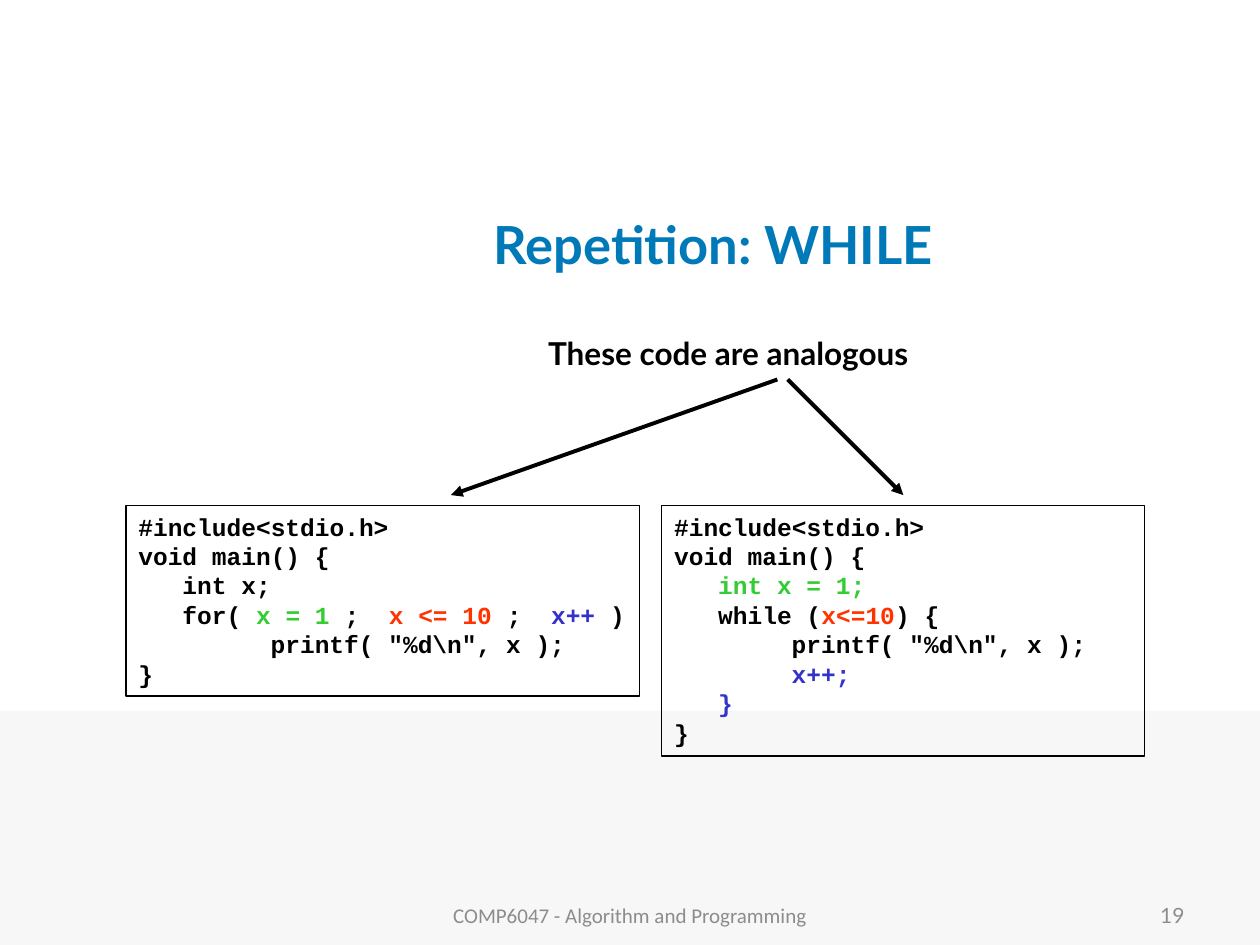
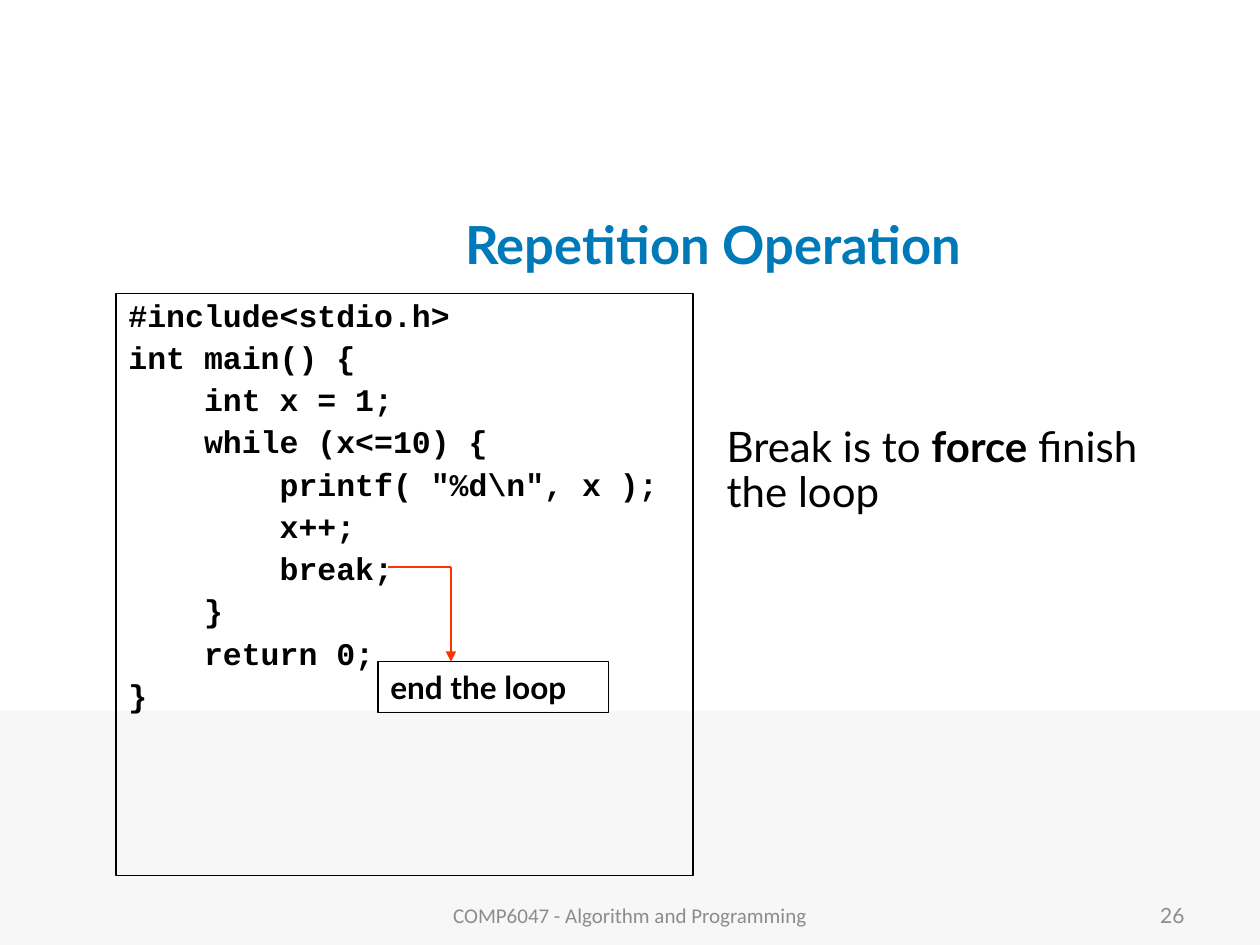
from lxml import etree
from pptx import Presentation
from pptx.dml.color import RGBColor
from pptx.enum.shapes import MSO_CONNECTOR, MSO_SHAPE
from pptx.enum.text import MSO_ANCHOR, PP_ALIGN
from pptx.oxml.ns import qn
from pptx.util import Cm, Pt

STRAIGHT = MSO_CONNECTOR.STRAIGHT
RECTANGLE = MSO_SHAPE.RECTANGLE
TOP, MIDDLE = MSO_ANCHOR.TOP, MSO_ANCHOR.MIDDLE
LEFT, CENTER, RIGHT = PP_ALIGN.LEFT, PP_ALIGN.CENTER, PP_ALIGN.RIGHT

BLACK = RGBColor(0x00, 0x00, 0x00)
BAND_GREY = RGBColor(0xF7, 0xF7, 0xF7)
FOOTER_GREY = RGBColor(0x8C, 0x8C, 0x8C)
TITLE_BLUE = RGBColor(0x00, 0x79, 0xB8)
START_GREEN = RGBColor(0x33, 0xCC, 0x33)
CONDITION_RED = RGBColor(0xFF, 0x33, 0x00)
STEP_BLUE = RGBColor(0x33, 0x33, 0xCC)

BODY_FONT, FOOTER_FONT, CODE_FONT = "Lato", "Calibri", "Courier New"
CODE_CHAR_RATIO = 0.6
SLIDE_WIDTH, SLIDE_HEIGHT = 25.4, 19.05
BAND_TOP = 14.33
TITLE_BOX = (4.88, 3.81, 19, 2.21)
FOOTER_BOX = (8.68, 17.93, 8.04, 1.02)
NUMBER_BOX = (18.21, 17.93, 5.92, 1.02)
TITLE_ONLY = 5

START = {"color": START_GREEN}
CONDITION = {"color": CONDITION_RED}
STEP = {"color": STEP_BLUE}

FOR_CODE = [
    (0, "#include<stdio.h>"),
    (0, "void main() {"),
    (3, "int x;"),
    (3, "for(", (" x = 1", START), " ;  ", ("x <= 10", CONDITION),
     " ;  ", ("x++", STEP), " )"),
    (9, 'printf( "%d\\n", x );'),
    (0, "}"),
]
WHILE_CODE = [
    (0, "#include<stdio.h>"),
    (0, "void main() {"),
    (3, ("int x = 1;", START)),
    (3, "while (", ("x<=10", CONDITION), ") {"),
    (8, 'printf( "%d\\n", x );'),
    (8, ("x++;", STEP)),
    (3, ("}", STEP)),
    (0, "}"),
]
BREAK_CODE = [
    (0, "#include<stdio.h>"),
    (0, "int main() {"),
    (4, "int x = 1;"),
    (4, "while (x<=10) {"),
    (8, 'printf( "%d\\n", x );'),
    (8, "x++;"),
    (8, "break;"),
    (4, "}"),
    (4, "return 0;"),
    (0, "}"),
]


def to_cm(box):
    return [Cm(length) for length in box]


def write_text(shape, lines, *, size, font=BODY_FONT, color=BLACK, bold=False,
               align=LEFT, anchor=TOP, line_spacing=None, space_before=0):
    frame = shape.text_frame
    frame.word_wrap = True
    frame.vertical_anchor = anchor
    for number, (indent, *runs) in enumerate(lines):
        paragraph = frame.add_paragraph() if number else frame.paragraphs[0]
        paragraph.alignment = align
        paragraph.space_before = Pt(space_before)
        if line_spacing:
            paragraph.line_spacing = line_spacing
        if indent:
            margin = Pt(indent * size * CODE_CHAR_RATIO)
            paragraph._p.get_or_add_pPr().set("marL", str(margin))
        for part in runs:
            text, changes = (part, {}) if isinstance(part, str) else part
            run = paragraph.add_run()
            run.text = text
            run.font.name = font
            run.font.size = Pt(size)
            run.font.bold = changes.get("bold", bold)
            run.font.color.rgb = changes.get("color", color)


def add_label(slide, box, *runs, **text_format):
    label = slide.shapes.add_textbox(*to_cm(box))
    write_text(label, [(0, *runs)], **text_format)


def add_frame(slide, box, lines, **text_format):
    frame = slide.shapes.add_shape(RECTANGLE, *to_cm(box))
    frame.shadow.inherit = False
    frame.fill.background()
    frame.line.color.rgb = BLACK
    frame.line.width = Pt(0.75)
    write_text(frame, lines, bold=True, **text_format)


def add_line(slide, start, end, color, width, arrow=True):
    line = slide.shapes.add_connector(STRAIGHT, *to_cm(start + end))
    line.line.color.rgb = color
    line.line.width = Pt(width)
    properties = line.element.spPr
    if arrow:
        tip = etree.SubElement(properties.find(qn("a:ln")), qn("a:tailEnd"))
        tip.set("type", "triangle")
    etree.SubElement(properties, qn("a:effectLst"))


def add_base_slide(deck, title, number):
    slide = deck.slides.add_slide(deck.slide_layouts[TITLE_ONLY])
    band = slide.shapes.add_shape(
        RECTANGLE, *to_cm((0, BAND_TOP, SLIDE_WIDTH, SLIDE_HEIGHT - BAND_TOP)))
    band.shadow.inherit = False
    band.fill.solid()
    band.fill.fore_color.rgb = BAND_GREY
    band.line.fill.background()

    heading = slide.shapes.title
    heading.left, heading.top, heading.width, heading.height = to_cm(TITLE_BOX)
    write_text(heading, [(0, title)], size=30, color=TITLE_BLUE, bold=True,
               align=CENTER, anchor=MIDDLE)
    add_label(slide, FOOTER_BOX, "COMP6047 - Algorithm and Programming", size=12,
              font=FOOTER_FONT, color=FOOTER_GREY, align=CENTER, anchor=MIDDLE)
    add_label(slide, NUMBER_BOX, str(number), size=12, color=FOOTER_GREY,
              align=RIGHT, anchor=MIDDLE)
    return slide


def add_loop_comparison(slide, box):
    left, top, width, height = box
    code_top = top + 3.59
    for_width, while_width = 10.36, 9.73
    while_left = left + width - while_width
    add_frame(slide, (left, code_top, for_width, 3.84), FOR_CODE,
              size=14, font=CODE_FONT)
    add_frame(slide, (while_left, code_top, while_width, height - 3.59),
              WHILE_CODE, size=14, font=CODE_FONT)
    add_label(slide, (left + 8.26, top, 10.59, 1.02),
              "These code are analogous", size=18, bold=True)
    for start, end in ((13.13, 6.55), (13.34, 15.67)):
        add_line(slide, (left + start, top + 1.05), (left + end, top + 3.38),
                 BLACK, 2.25)


def add_break_example(slide, box):
    left, top, width, height = box
    add_frame(slide, box, BREAK_CODE, size=18, font=CODE_FONT,
              line_spacing=0.9, space_before=4.7)
    break_end = (left + 5.48, top + 5.51)
    corner = (left + 6.75, top + 5.51)
    label_top = top + 7.42
    add_line(slide, break_end, corner, CONDITION_RED, 0.75, arrow=False)
    add_line(slide, corner, (corner[0], label_top), CONDITION_RED, 0.75)
    add_frame(slide, (left + 5.28, label_top, 4.65, 1.02),
              [(0, "end the loop")], size=18)
    add_label(slide, (left + width + 0.43, top + 2.54, 9.73, 2.11),
              "Break is to ", ("force", {"bold": True}), " finish the loop",
              size=24, line_spacing=0.9)


def main():
    deck = Presentation()
    deck.slide_width, deck.slide_height = Cm(SLIDE_WIDTH), Cm(SLIDE_HEIGHT)
    comparison = add_base_slide(deck, "Repetition: WHILE", 19)
    add_loop_comparison(comparison, (2.54, 6.6, 20.53, 8.64))
    operation = add_base_slide(deck, "Repetition Operation", 26)
    add_break_example(operation, (2.34, 5.92, 11.63, 11.73))
    deck.save("out.pptx")


if __name__ == "__main__":
    main()
